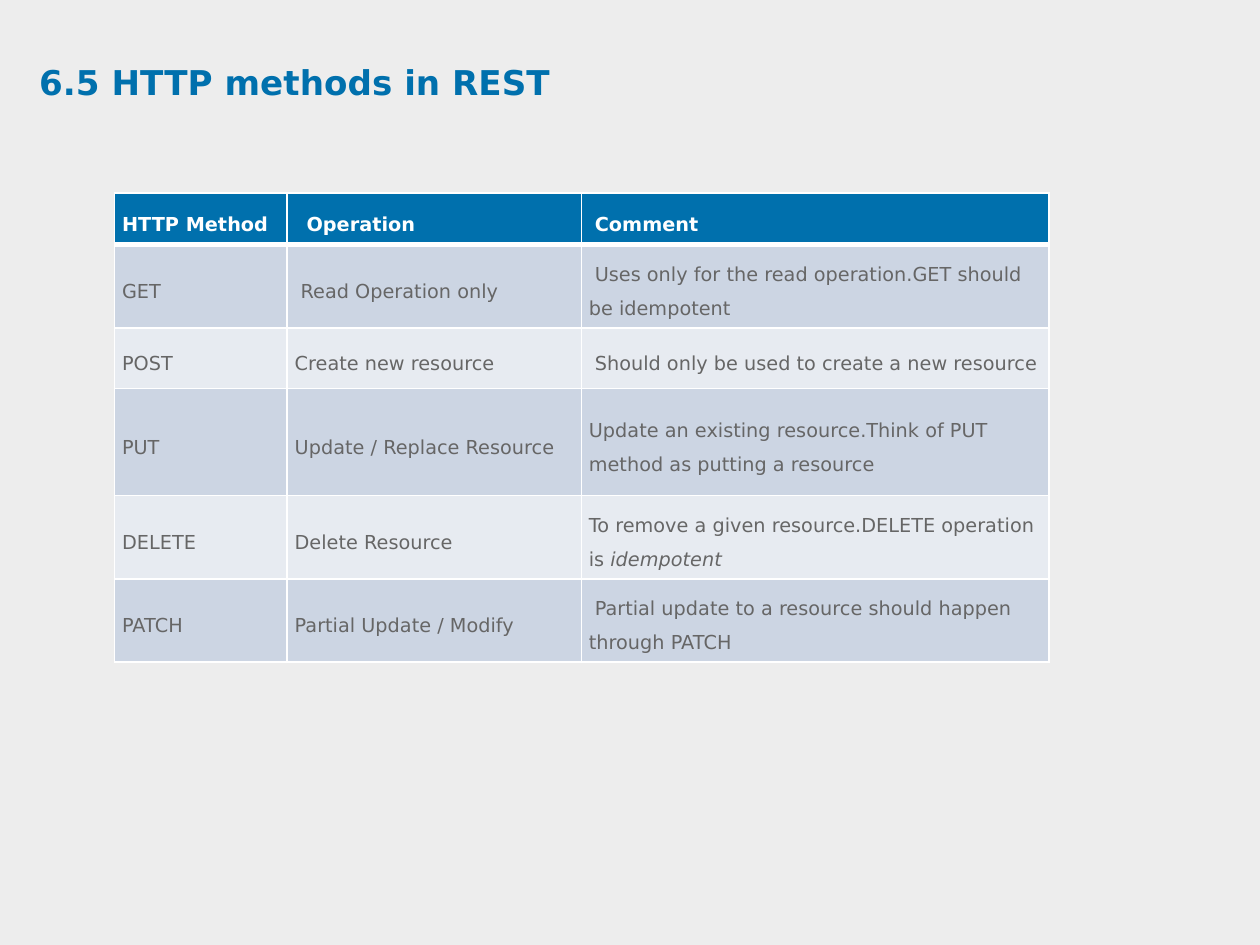
from dataclasses import dataclass

from lxml.etree import SubElement
from pptx import Presentation
from pptx.dml.color import RGBColor as RGB
from pptx.enum.text import MSO_ANCHOR as Anchor, PP_ALIGN as Align
from pptx.oxml.ns import qn
from pptx.table import _Cell as TableCell
from pptx.util import Cm, Pt

COLORS = {
    "background": "EDEDED",
    "accent": "0070AD",
    "text": "666666",
    "white": "FFFFFF",
    "odd": "CCD5E3",
    "even": "E7EBF1",
}
FONT = "DejaVu Sans"
INDENT = Cm(0.12)
COLUMN_WIDTHS = (3.48, 5.93, 9.43)
MARGINS = ("margin_left", "margin_top", "margin_right", "margin_bottom")


@dataclass
class Entry:
    text: str
    indent: int = 0
    emphasis: str = ""


@dataclass
class Row:
    height: float
    entries: tuple[Entry, Entry, Entry]


ROWS = [
    Row(1.04, (Entry("HTTP Method"), Entry("Operation", 2), Entry("Comment", 1))),
    Row(1.68, (Entry("GET"), Entry("Read Operation only", 1),
               Entry("Uses only for the read operation.GET should be idempotent", 1))),
    Row(1.22, (Entry("POST"), Entry("Create new resource"),
               Entry("Should only be used to create a new resource", 1))),
    Row(2.16, (Entry("PUT"), Entry("Update / Replace Resource"),
               Entry("Update an existing resource.Think of PUT method as putting a resource"))),
    Row(1.68, (Entry("DELETE"), Entry("Delete Resource"),
               Entry("To remove a given resource.DELETE operation is ", emphasis="idempotent"))),
    Row(1.68, (Entry("PATCH"), Entry("Partial Update / Modify"),
               Entry("Partial update to a resource should happen through PATCH", 1))),
]


def color(name: str) -> RGB:
    return RGB.from_string(COLORS[name])


def format_font(font, size: float, color_name: str, bold: bool) -> None:
    for key, value in {"name": FONT, "size": Pt(size), "bold": bold}.items():
        setattr(font, key, value)
    font.color.rgb = color(color_name)


def set_borders(cell: TableCell, top: float, bottom: float) -> None:
    """Draw white borders; this must precede the cell's fill."""
    tc_pr = cell._tc.get_or_add_tcPr()
    for side, width in {"L": 1, "R": 1, "T": top, "B": bottom}.items():
        ln = SubElement(tc_pr, qn(f"a:ln{side}"), w=str(Pt(width)))
        fill = SubElement(ln, qn("a:solidFill"))
        SubElement(fill, qn("a:srgbClr"), val=COLORS["white"])


def fill_cell(cell: TableCell, entry: Entry, row: int) -> None:
    is_header = row == 0
    set_borders(cell, top=3 if row == 1 else 1, bottom=3 if is_header else 1)
    cell.fill.solid()
    cell.fill.fore_color.rgb = color(
        "accent" if is_header else "odd" if row % 2 else "even")
    cell.vertical_anchor = Anchor.MIDDLE
    for margin in MARGINS:
        setattr(cell, margin, Cm(0.15))

    p = cell.text_frame.paragraphs[0]
    p.line_spacing = 1.5
    if entry.indent:
        p_pr = p._p.get_or_add_pPr()
        p_pr.set("marL", "0")
        p_pr.set("indent", str(entry.indent * INDENT))
    for text, italic in ((entry.text, False), (entry.emphasis, True)):
        if text:
            r = p.add_run()
            r.text = text
            format_font(r.font, 11, "white" if is_header else "text", is_header)
            r.font.italic = italic


def add_title(s, text: str) -> None:
    sp = s.shapes.title
    sp.left, sp.top, sp.width, sp.height = Cm(0.79), Cm(0.61), Cm(23.09), Cm(2.39)
    tf = sp.text_frame
    tf.text = text
    tf.word_wrap = True
    tf.vertical_anchor = Anchor.TOP
    for margin in MARGINS:
        setattr(tf, margin, 0)
    tf.margin_top = Cm(0.72)
    p = tf.paragraphs[0]
    p.alignment = Align.LEFT
    p.line_spacing = 0.9
    format_font(p.runs[0].font, 19.5, "accent", True)


def add_methods_table(s) -> None:
    frame = s.shapes.add_table(
        len(ROWS), len(COLUMN_WIDTHS), Cm(2.31), Cm(3.89),
        Cm(sum(COLUMN_WIDTHS)), Cm(sum(row.height for row in ROWS)))
    table = frame.table
    for column, width in zip(table.columns, COLUMN_WIDTHS):
        column.width = Cm(width)
    for i, row in enumerate(ROWS):
        table.rows[i].height = Cm(row.height)
        for j, entry in enumerate(row.entries):
            fill_cell(table.cell(i, j), entry, i)


def main() -> None:
    prs = Presentation()
    prs.slide_width, prs.slide_height = Cm(25.4), Cm(19.05)
    s = prs.slides.add_slide(prs.slide_layouts[5])
    s.background.fill.solid()
    s.background.fill.fore_color.rgb = color("background")
    add_title(s, "6.5 HTTP methods in REST")
    add_methods_table(s)
    prs.save("out.pptx")


if __name__ == "__main__":
    main()
